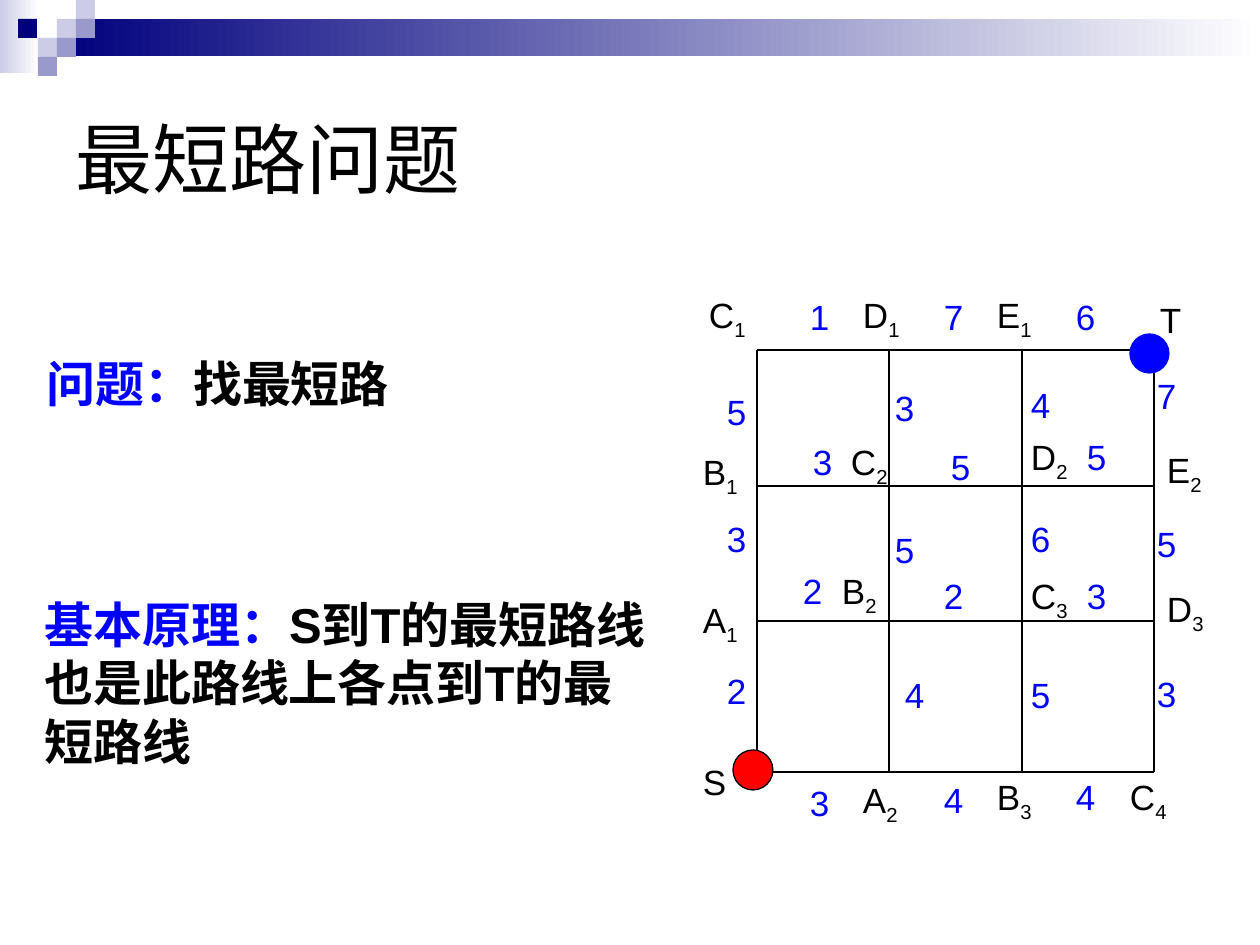
from dataclasses import dataclass
from lxml.etree import SubElement as Sub
from pptx import Presentation
from pptx.dml.color import RGBColor as Rgb
from pptx.enum.shapes import MSO_CONNECTOR as Conn, MSO_SHAPE as Kind
from pptx.enum.text import MSO_ANCHOR as Anchor, MSO_AUTO_SIZE as Fit, PP_ALIGN as Align
from pptx.oxml.ns import qn
from pptx.util import Emu, Pt

PX = 914400 / 126
HUES = {"navy": "00007D", "pale": "CCCCE6", "mid": "9999CC", "white": "FFFFFF",
        "black": "000000", "blue": "0000FF", "red": "FF0000"}
HEAD = {"size": Pt(44), "name": "Arial"}
BODY = {"size": Pt(28), "name": "Arial", "bold": True}
MARK = {"size": Pt(20), "name": "Arial"}
FLUSH = {"margin_left": 0, "margin_top": 0, "margin_right": 0, "margin_bottom": 0,
         "word_wrap": True}


@dataclass
class Node:
    x: int
    y: int
    name: str
    sub: str = ""


@dataclass
class Cost:
    x: int
    y: int
    num: str


@dataclass
class Block:
    x: int
    y: int
    w: int
    h: int
    hue: str
    fade: str = ""


@dataclass
class Dot:
    x: int
    y: int
    size: int
    hue: str
    edge: str


@dataclass
class Note:
    x: int
    y: int
    w: int
    h: int
    lead: str
    rest: str
    wrap: bool


BLOCKS = [Block(0, 0, 39, 73, "pale", "white"), Block(57, 19, 1203, 37, "navy", "white"),
          *(Block(x, y, 19, 19, hue) for x, y, hue in [
              (57, 19, "pale"), (76, 0, "pale"), (76, 19, "mid"), (38, 38, "pale"),
              (18, 19, "navy"), (57, 38, "mid"), (38, 57, "mid")])]

COLS = [757, 889, 1022, 1154]
ROWS = [350, 486, 621, 772]

NODES = [
    Node(709, 294, "C", "1"), Node(863, 294, "D", "1"), Node(997, 294, "E", "1"),
    Node(1160, 299, "T"), Node(703, 451, "B", "1"), Node(851, 441, "C", "2"),
    Node(1031, 436, "D", "2"), Node(1167, 449, "E", "2"), Node(703, 599, "A", "1"),
    Node(842, 570, "B", "2"), Node(1031, 575, "C", "3"), Node(1167, 588, "D", "3"),
    Node(703, 761, "S"), Node(863, 779, "A", "2"), Node(997, 776, "B", "3"),
    Node(1130, 776, "C", "4"),
]

COSTS = [
    Cost(810, 296, "1"), Cost(944, 296, "7"), Cost(1076, 296, "6"),
    Cost(727, 391, "5"), Cost(895, 387, "3"), Cost(1031, 384, "4"), Cost(1157, 375, "7"),
    Cost(813, 441, "3"), Cost(951, 446, "5"), Cost(1087, 436, "5"),
    Cost(727, 518, "3"), Cost(895, 529, "5"), Cost(1031, 518, "6"), Cost(1157, 523, "5"),
    Cost(803, 570, "2"), Cost(944, 575, "2"), Cost(1087, 575, "3"),
    Cost(727, 670, "2"), Cost(905, 674, "4"), Cost(1031, 674, "5"), Cost(1157, 673, "3"),
    Cost(810, 782, "3"), Cost(944, 779, "4"), Cost(1076, 776, "4"),
]

DOTS = [Dot(733, 750, 40, "red", "black"), Dot(1130, 334, 39, "blue", "blue")]

NOTES = [
    Note(34, 347, 368, 72, "问题：", "找最短路", False),
    Note(32, 588, 630, 189, "基本原理：", "S到T的最短路线也是此路线上各点到T的最短路线", True),
]


def emu(*vals: int) -> list[Emu]:
    return [Emu(round(v * PX)) for v in vals]


def tint(hue: str) -> Rgb:
    return Rgb.from_string(HUES[hue])


def style(part, form: dict) -> None:
    for key, val in form.items():
        setattr(part, key, val)


def write(para, text: str, form: dict, hue: str, low: bool = False) -> None:
    run = para.add_run()
    run.text = text
    style(run.font, form)
    run.font.color.rgb = tint(hue)
    if low:
        run._r.get_or_add_rPr().set("baseline", "-25000")


def draw_block(slide, item: Block) -> None:
    box = slide.shapes.add_shape(Kind.RECTANGLE, *emu(item.x, item.y, item.w, item.h))
    box.shadow.inherit = False
    box.line.fill.background()
    if item.fade:
        box.fill.gradient()
        box.fill.gradient_angle = 0
        for stop, hue in zip(box.fill.gradient_stops, (item.hue, item.fade)):
            stop.color.rgb = tint(hue)
    else:
        box.fill.solid()
        box.fill.fore_color.rgb = tint(item.hue)


def draw_line(slide, x1: int, y1: int, x2: int, y2: int) -> None:
    line = slide.shapes.add_connector(Conn.STRAIGHT, *emu(x1, y1, x2, y2))
    line.line.width = Pt(0.75)
    line.line.color.rgb = tint("black")
    Sub(line._element.spPr, qn("a:effectLst"))


def draw_mark(slide, x: int, y: int, w: int, text: str, hue: str, sub: str = "") -> None:
    frame = slide.shapes.add_textbox(*emu(x, y, w, 62)).text_frame
    style(frame, FLUSH)
    para = frame.paragraphs[0]
    para.alignment = Align.JUSTIFY
    write(para, text, MARK, hue)
    if sub:
        write(para, sub, MARK, hue, True)


def draw_dot(slide, item: Dot) -> None:
    dot = slide.shapes.add_shape(Kind.OVAL, *emu(item.x, item.y, item.size, item.size))
    dot.shadow.inherit = False
    dot.fill.solid()
    dot.fill.fore_color.rgb = tint(item.hue)
    dot.line.width = Pt(0.75)
    dot.line.color.rgb = tint(item.edge)


def draw_note(slide, item: Note) -> None:
    frame = slide.shapes.add_textbox(*emu(item.x, item.y, item.w, item.h)).text_frame
    style(frame, {"word_wrap": item.wrap, "auto_size": Fit.SHAPE_TO_FIT_TEXT})
    write(frame.paragraphs[0], item.lead, BODY, "blue")
    write(frame.paragraphs[0], item.rest, BODY, "black")


def draw_title(slide, text: str) -> None:
    title = slide.shapes.title
    style(title, dict(zip(("left", "top", "width", "height"), emu(63, 63, 1134, 189))))
    frame = title.text_frame
    style(frame, {"vertical_anchor": Anchor.MIDDLE, "auto_size": Fit.NONE})
    frame.paragraphs[0].alignment = Align.LEFT
    write(frame.paragraphs[0], text, HEAD, "black")


def main() -> None:
    deck = Presentation()
    deck.slide_width, deck.slide_height = emu(1260, 945)
    slide = deck.slides.add_slide(deck.slide_layouts[5])
    for item in BLOCKS:
        draw_block(slide, item)
    draw_title(slide, "最短路问题")
    for x in COLS:
        draw_line(slide, x, ROWS[0], x, ROWS[-1])
    for y in ROWS:
        draw_line(slide, COLS[0], y, COLS[-1], y)
    for node in NODES:
        draw_mark(slide, node.x, node.y, 53, node.name, "black", node.sub)
    for cost in COSTS:
        draw_mark(slide, cost.x, cost.y, 26, cost.num, "blue")
    for dot in DOTS:
        draw_dot(slide, dot)
    for note in NOTES:
        draw_note(slide, note)
    deck.save("out.pptx")


if __name__ == "__main__":
    main()
